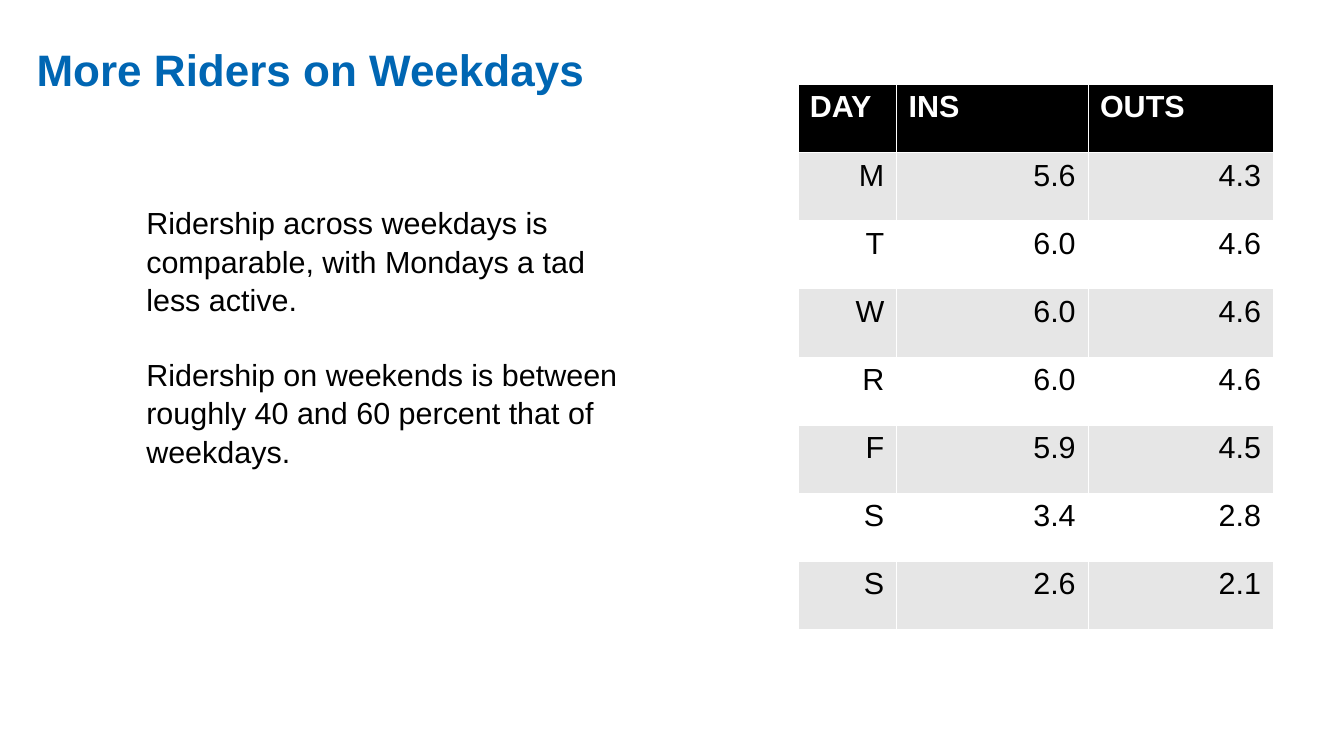
from lxml.etree import SubElement
from pptx import Presentation
from pptx.dml.color import RGBColor
from pptx.enum.text import MSO_ANCHOR, MSO_AUTO_SIZE, PP_ALIGN
from pptx.oxml.ns import qn
from pptx.util import Inches, Pt

COLORS = {"title": "0066B3", "text": "000000", "header": "000000",
          "header_text": "FFFFFF", "band": "E6E6E6", "plain": "FFFFFF",
          "border": "FFFFFF"}
WIDTH, HEIGHT = Inches(11.02), Inches(6.2)
TITLE = "More Riders on Weekdays"
FINDINGS = [
    "Ridership across weekdays is comparable, with Mondays a tad less active.",
    "Ridership on weekends is between roughly 40 and 60 percent that of weekdays.",
]
RIDERSHIP = [
    ("DAY", "INS", "OUTS"),
    ("M", "5.6", "4.3"),
    ("T", "6.0", "4.6"),
    ("W", "6.0", "4.6"),
    ("R", "6.0", "4.6"),
    ("F", "5.9", "4.5"),
    ("S", "3.4", "2.8"),
    ("S", "2.6", "2.1"),
]
COLUMN_WEIGHTS = (0.81, 1.57, 1.52)


def area(x, y, w, h):
    """Turn percentages of the slide into left, top, width and height."""
    return (int(WIDTH * x / 100), int(HEIGHT * y / 100),
            int(WIDTH * w / 100), int(HEIGHT * h / 100))


def format_runs(p, size, color, bold=False):
    """Set the font of every run in a paragraph."""
    for r in p.runs:
        r.font.name = "Arial"
        r.font.size = Pt(size)
        r.font.bold = bold
        r.font.color.rgb = RGBColor.from_string(COLORS[color])


def fill_placeholder(sp, box, text):
    """Place a placeholder, set its text and return the text frame."""
    sp.left, sp.top, sp.width, sp.height = box
    tf = sp.text_frame
    tf.text = text
    tf.word_wrap = True
    tf.auto_size = MSO_AUTO_SIZE.NONE
    tf.vertical_anchor = MSO_ANCHOR.TOP
    return tf


def add_title(s):
    """Fill the title placeholder."""
    tf = fill_placeholder(s.shapes.title, area(1.81, 4.84, 55.35, 21.13), TITLE)
    p = tf.paragraphs[0]
    p.alignment = PP_ALIGN.LEFT
    format_runs(p, 26, "title", bold=True)


def add_findings(s):
    """Fill the body placeholder with unbulleted paragraphs."""
    tf = fill_placeholder(s.placeholders[1], area(9.98, 25.97, 39.02, 33.23),
                          "\n".join(FINDINGS))
    for i, p in enumerate(tf.paragraphs):
        pPr = p._p.get_or_add_pPr()
        pPr.set("marL", "0")
        pPr.set("indent", "0")
        SubElement(pPr, qn("a:buNone"))
        p.line_spacing = 1.05
        p.space_before = Pt(21.6 if i else 0)
        format_runs(p, 18, "text")


def add_borders(cell):
    """Draw a hairline on the four sides of a cell."""
    tcPr = cell._tc.get_or_add_tcPr()
    for side in ("lnL", "lnR", "lnT", "lnB"):
        ln = SubElement(tcPr, qn(f"a:{side}"), w=str(Pt(0.06)))
        fill = SubElement(ln, qn("a:solidFill"))
        SubElement(fill, qn("a:srgbClr"), val=COLORS["border"])


def format_cell(cell, text, row):
    """Write a cell in the header style or a banded body style."""
    header = row == 0
    cell.text = text
    p = cell.text_frame.paragraphs[0]
    p.alignment = PP_ALIGN.LEFT if header else PP_ALIGN.RIGHT
    format_runs(p, 18, "header_text" if header else "text", bold=header)
    add_borders(cell)
    fill = "header" if header else "band" if row % 2 else "plain"
    cell.fill.solid()
    cell.fill.fore_color.rgb = RGBColor.from_string(COLORS[fill])


def add_ridership_table(s):
    """Add the table of riders by day."""
    x, y, w, h = area(59.35, 11.13, 35.39, 72.1)
    table = s.shapes.add_table(len(RIDERSHIP), len(COLUMN_WEIGHTS),
                               x, y, w, h).table
    for column, weight in zip(table.columns, COLUMN_WEIGHTS):
        column.width = int(w * weight / sum(COLUMN_WEIGHTS))
    for i, values in enumerate(RIDERSHIP):
        for j, text in enumerate(values):
            format_cell(table.cell(i, j), text, i)


def main():
    """Build and save the slide."""
    prs = Presentation()
    prs.slide_width, prs.slide_height = WIDTH, HEIGHT
    s = prs.slides.add_slide(prs.slide_layouts[1])
    add_title(s)
    add_ridership_table(s)
    add_findings(s)
    prs.save("out.pptx")


if __name__ == "__main__":
    main()
